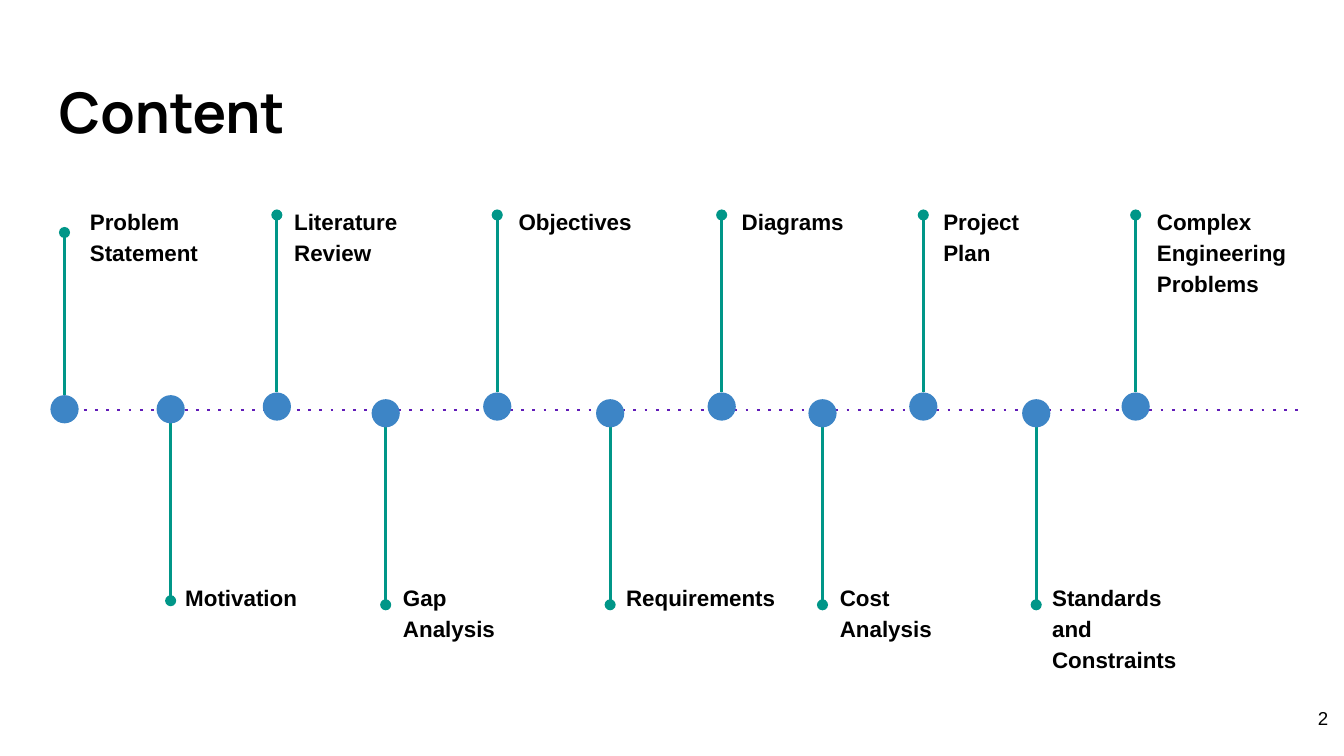
from dataclasses import dataclass

from lxml import etree
from pptx import Presentation
from pptx.dml.color import RGBColor
from pptx.enum import shapes, text
from pptx.oxml import ns
from pptx.util import Inches, Pt


@dataclass(frozen=True)
class Theme:
    ink: RGBColor = RGBColor(0x00, 0x00, 0x00)
    axis: RGBColor = RGBColor(0x61, 0x1B, 0xB8)
    stem: RGBColor = RGBColor(0x00, 0x96, 0x88)
    marker: RGBColor = RGBColor(0x3D, 0x85, 0xC6)
    title_font: str = "Manrope"
    body_font: str = "Arial"
    title_size: float = 30
    label_size: float = 12
    number_size: float = 10
    line_width: float = 1.5


@dataclass(frozen=True)
class Milestone:
    """Position of one topic; coordinates are relative to the timeline box."""
    lines: tuple
    center: float
    label_left: float
    marker_top: float
    stem_length: float = 1.32


THEME = Theme()
MARKER_SIZE = 0.21
LABEL_SIZE = (2.91, 1.06)
UPPER_LABEL_TOP = 0
LOWER_LABEL_TOP = 2.8
AXIS_TOP = 1.63
HIGH, MIDDLE, LOW = 1.5, 1.52, 1.55

# Topics alternate above and below the axis, starting above.
MILESTONES = (
    Milestone(("Problem", "Statement"), 0.1, 0.19, MIDDLE, 1.21),
    Milestone(("Motivation",), 0.89, 0.9, MIDDLE),
    Milestone(("Literature", "Review"), 1.68, 1.71, HIGH),
    Milestone(("Gap", "Analysis"), 2.49, 2.52, LOW),
    Milestone(("Objectives",), 3.32, 3.38, HIGH),
    Milestone(("Requirements",), 4.16, 4.18, LOW),
    Milestone(("Diagrams",), 4.99, 5.04, HIGH),
    Milestone(("Cost", "Analysis"), 5.74, 5.77, LOW),
    Milestone(("Project", "Plan"), 6.49, 6.54, HIGH),
    Milestone(("Standards", "and", "Constraints"), 7.33, 7.35, LOW),
    Milestone(("Complex", "Engineering", "Problems"), 8.07, 8.13, HIGH),
)


def add_text(slide, box, lines, size, font=THEME.body_font, bold=True,
             align=text.PP_ALIGN.LEFT, anchor=text.MSO_ANCHOR.TOP, spacing=None):
    frame = slide.shapes.add_textbox(*map(Inches, box)).text_frame
    frame.word_wrap = True
    frame.vertical_anchor = anchor
    frame.margin_left = frame.margin_right = Inches(0.1)
    frame.margin_top = frame.margin_bottom = Inches(0.1)
    for index, line in enumerate(lines):
        paragraph = frame.add_paragraph() if index else frame.paragraphs[0]
        paragraph.alignment = align
        paragraph.line_spacing = spacing
        run = paragraph.add_run()
        run.text = line
        run.font.name = font
        run.font.size = Pt(size)
        run.font.bold = bold
        run.font.color.rgb = THEME.ink


def add_line(parent, start, end, color, detail, **attributes):
    """Draw a line; detail is a DrawingML line child such as prstDash or tailEnd."""
    line = parent.shapes.add_connector(
        shapes.MSO_CONNECTOR.STRAIGHT, *map(Inches, (*start, *end)))
    line.line.color.rgb = color
    line.line.width = Pt(THEME.line_width)
    properties = line._element.spPr
    etree.SubElement(properties.find(ns.qn("a:ln")), ns.qn(f"a:{detail}"), **attributes)
    etree.SubElement(properties, ns.qn("a:effectLst"))


def add_milestone(slide, left, top, milestone, above):
    group = slide.shapes.add_group_shape()
    center = left + milestone.center
    marker_top = top + milestone.marker_top
    if above:
        start, end = marker_top, marker_top - milestone.stem_length
    else:
        start = marker_top + MARKER_SIZE
        end = start + milestone.stem_length
    add_line(group, (center, start), (center, end), THEME.stem,
             "tailEnd", type="oval", w="med", len="med")

    marker = group.shapes.add_shape(
        shapes.MSO_SHAPE.OVAL, Inches(center - MARKER_SIZE / 2), Inches(marker_top),
        Inches(MARKER_SIZE), Inches(MARKER_SIZE))
    marker.shadow.inherit = False
    marker.fill.solid()
    marker.fill.fore_color.rgb = THEME.marker
    marker.line.fill.background()

    label_top = top + (UPPER_LABEL_TOP if above else LOWER_LABEL_TOP)
    add_text(slide, (left + milestone.label_left, label_top, *LABEL_SIZE),
             milestone.lines, THEME.label_size, spacing=1.15)


def add_timeline(slide, left, top, width):
    axis = top + AXIS_TOP
    add_line(slide, (left + 0.16, axis), (left + width, axis), THEME.axis,
             "prstDash", val="dot")
    for index, milestone in enumerate(MILESTONES):
        add_milestone(slide, left, top, milestone, above=index % 2 == 0)


def add_title(slide, box):
    add_text(slide, box, ["Content"], THEME.title_size, THEME.title_font)


def add_slide_number(slide, box):
    add_text(slide, box, ["2"], THEME.number_size, bold=False,
             align=text.PP_ALIGN.RIGHT, anchor=text.MSO_ANCHOR.MIDDLE)


def main():
    presentation = Presentation()
    presentation.slide_width = Inches(10)
    presentation.slide_height = Inches(10) * 9 // 16
    slide = presentation.slides.add_slide(presentation.slide_layouts[6])
    add_title(slide, (0.34, 0.48, 9.32, 0.68))
    add_timeline(slide, left=0.38, top=1.42, width=9.28)
    add_slide_number(slide, (9.38, 5.13, 0.6, 0.43))
    presentation.save("out.pptx")


if __name__ == "__main__":
    main()
